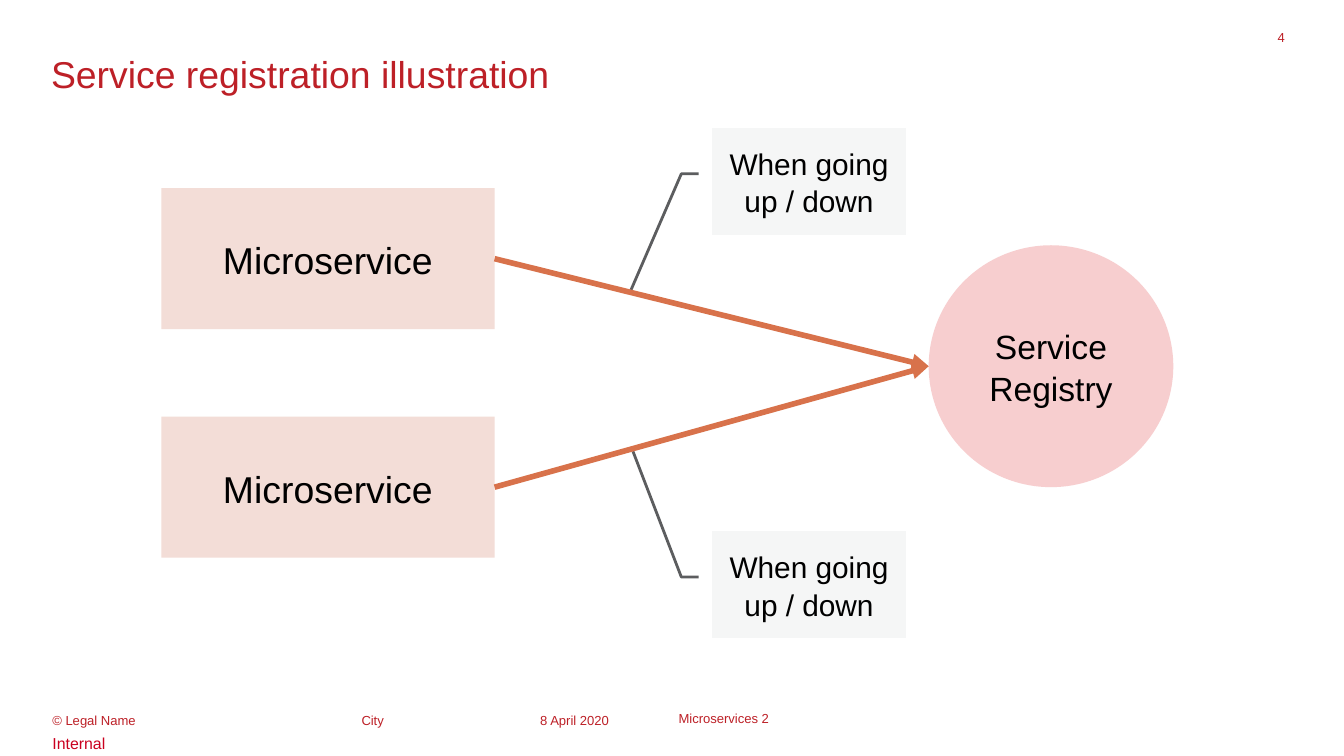
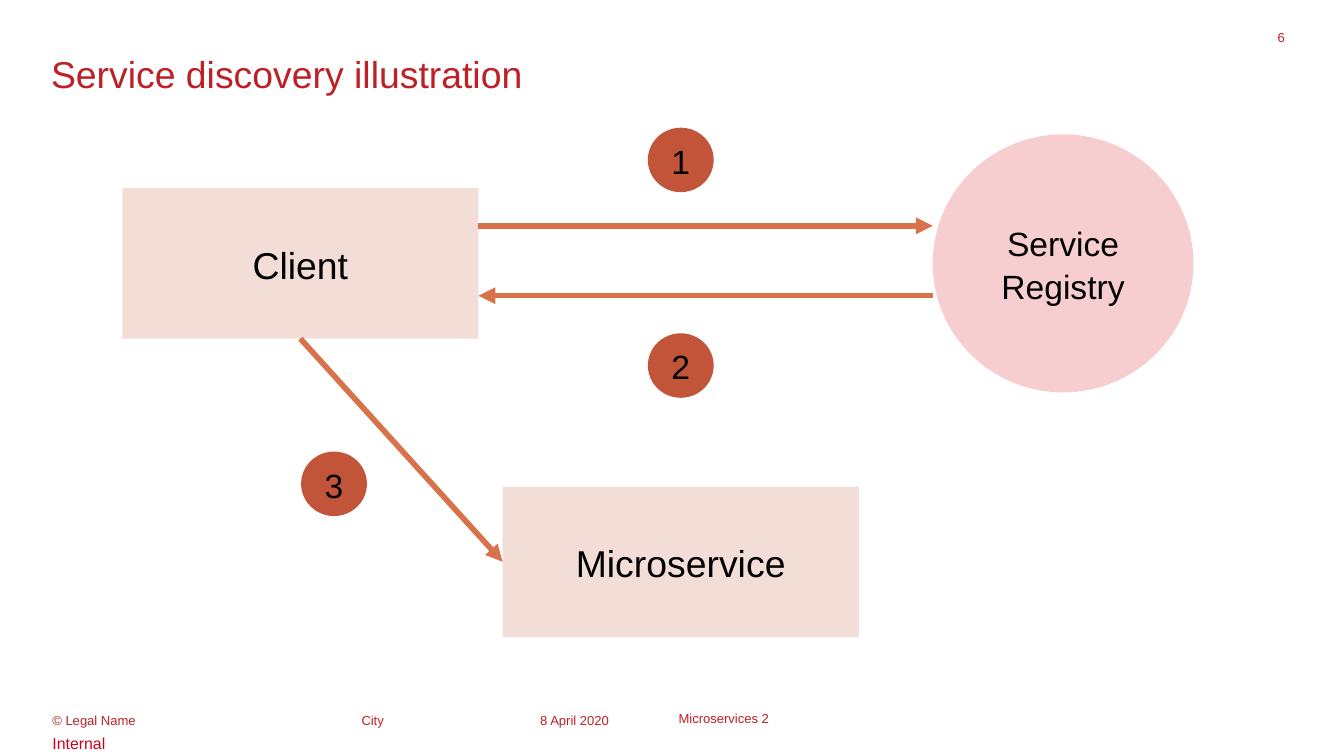
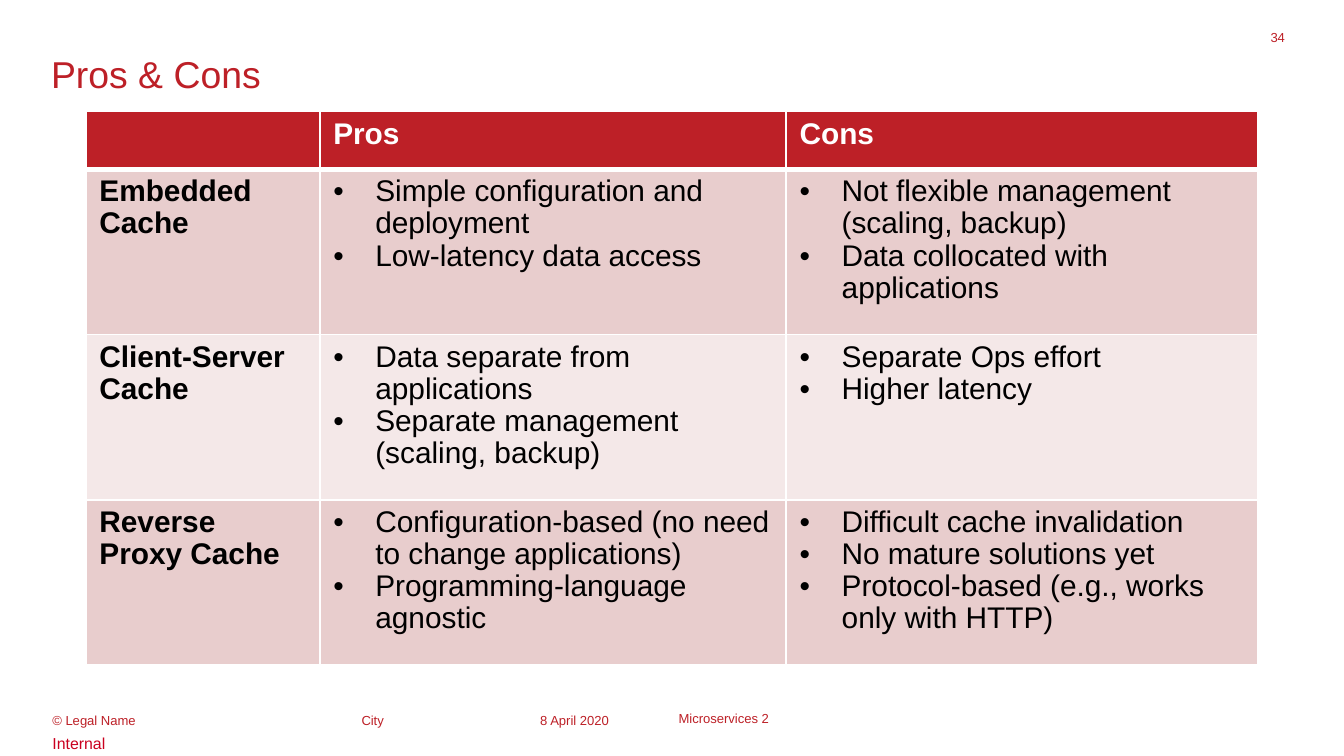
"""Build three microservice slides: registration, discovery, and cache pros and cons."""
import dataclasses
import typing

import lxml.etree
import pptx
import pptx.dml.color
import pptx.enum.shapes
import pptx.enum.text
import pptx.oxml.ns
import pptx.util

ALIGN = pptx.enum.text.PP_ALIGN
ANCHOR = pptx.enum.text.MSO_ANCHOR
SHAPE = pptx.enum.shapes.MSO_SHAPE
TOP, LEFT, BOTTOM, RIGHT = range(4)
GRID_COLUMNS = 100
PAGE_WIDTH = pptx.util.Inches(10)
PAGE_HEIGHT = PAGE_WIDTH * 9 // 16


@dataclasses.dataclass(frozen=True)
class Theme:
    font: str = "Arial"
    red: str = "BD2027"
    marking: str = "CA001F"
    black: str = "000000"
    white: str = "FFFFFF"
    service: str = "F3DDD7"
    registry: str = "F7CECF"
    step: str = "C25439"
    arrow: str = "D8724B"
    note: str = "F5F6F6"
    leader: str = "5C5D5F"
    bands: tuple = ("E8CDCD", "F4E8E8")
    title_size: float = 20
    node_size: float = 18
    body_size: float = 16
    marking_size: float = 8.5
    footer_size: float = 7
    arrow_width: float = 3
    leader_width: float = 1.5
    shape_spacing: float = 1.05
    table_spacing: float = 0.97


THEME = Theme()


class Area(typing.NamedTuple):
    left: float
    top: float
    width: float
    height: float


class Spot(typing.NamedTuple):
    column: float
    row: float


class Joint(typing.NamedTuple):
    node: str
    side: int


@dataclasses.dataclass(frozen=True)
class Label:
    text: str
    area: Area
    size: float = THEME.footer_size
    color: str = THEME.red
    align: ALIGN = ALIGN.LEFT
    anchor: ANCHOR = ANCHOR.TOP
    insets: tuple = (0, 0)


@dataclasses.dataclass(frozen=True)
class Node:
    name: str
    text: str
    area: Area
    fill: str
    size: float
    shape: SHAPE = SHAPE.FLOWCHART_CONNECTOR
    leader: tuple = ()


@dataclasses.dataclass(frozen=True)
class Arrow:
    begin: Spot | Joint
    end: Spot | Joint


@dataclasses.dataclass(frozen=True)
class Diagram:
    title: str
    number: int
    nodes: list
    arrows: list


def cells(count: float) -> pptx.util.Emu:
    return pptx.util.Emu(round(count * PAGE_WIDTH / GRID_COLUMNS))


def rgb(color: str) -> pptx.dml.color.RGBColor:
    return pptx.dml.color.RGBColor.from_string(color)


def add_xml(parent, tag: str, **attributes: str):
    return lxml.etree.SubElement(parent, pptx.oxml.ns.qn(tag), attributes)


def write(para, text: str, size: float, color: str, bold: bool = False) -> None:
    span = para.add_run()
    span.text = text
    span.font.name = THEME.font
    span.font.size = pptx.util.Pt(size)
    span.font.bold = bold
    span.font.color.rgb = rgb(color)


def draw_label(page, label: Label) -> None:
    box = page.shapes.add_textbox(*map(cells, label.area))
    frame = box.text_frame
    frame.word_wrap = True
    frame.vertical_anchor = label.anchor
    side, edge = map(cells, label.insets)
    frame.margin_left = frame.margin_right = side
    frame.margin_top = frame.margin_bottom = edge
    para = frame.paragraphs[0]
    para.alignment = label.align
    write(para, label.text, label.size, label.color)


def draw_node(page, node: Node):
    shape = page.shapes.add_shape(node.shape, *map(cells, node.area))
    shape.shadow.inherit = False
    shape.fill.solid()
    shape.fill.fore_color.rgb = rgb(node.fill)
    if node.leader:
        shape.line.color.rgb = rgb(THEME.leader)
        shape.line.width = pptx.util.Pt(THEME.leader_width)
        for index, value in enumerate(node.leader):
            shape.adjustments[index] = value
    else:
        shape.line.fill.background()
    frame = shape.text_frame
    frame.word_wrap = True
    frame.vertical_anchor = ANCHOR.MIDDLE
    para = frame.paragraphs[0]
    para.alignment = ALIGN.CENTER
    para.line_spacing = THEME.shape_spacing
    write(para, node.text, node.size, THEME.black)
    return shape


def draw_arrow(page, arrow: Arrow, shapes: dict) -> None:
    ends = (arrow.begin, arrow.end)
    points = [end if isinstance(end, Spot) else Spot(0, 0) for end in ends]
    link = page.shapes.add_connector(
        pptx.enum.shapes.MSO_CONNECTOR.STRAIGHT,
        *(cells(value) for point in points for value in point),
    )
    for end, connect in zip(ends, (link.begin_connect, link.end_connect)):
        if isinstance(end, Joint):
            connect(shapes[end.node], end.side)
    link.line.color.rgb = rgb(THEME.arrow)
    link.line.width = pptx.util.Pt(THEME.arrow_width)
    properties = link.element.spPr
    add_xml(properties.find(pptx.oxml.ns.qn("a:ln")), "a:tailEnd", type="triangle")
    add_xml(properties, "a:effectLst")


def add_page(deck, title: str, number: int):
    page = deck.slides.add_slide(deck.slide_layouts[6])
    for label in (
        Label("© Legal Name", Area(3.9, 53, 21.6, 0.9)),
        Label("City", Area(26.9, 53, 12.3, 0.9)),
        Label("Internal", Area(0, 54.1, 100, 2.4), THEME.marking_size,
              THEME.marking, insets=(3.9, 0.5)),
        Label(str(number), Area(93.4, 2.2, 2.2, 1.5), align=ALIGN.RIGHT),
        Label("8 April 2020", Area(40.2, 53, 8.7, 0.9)),
        Label("Microservices 2", Area(50.5, 53, 31.7, 0.9), anchor=ANCHOR.MIDDLE),
        Label(title, Area(3.8, 3.8, 91.7, 5.1), THEME.title_size),
    ):
        draw_label(page, label)
    return page


def add_diagram(deck, diagram: Diagram) -> None:
    page = add_page(deck, diagram.title, diagram.number)
    shapes = {node.name: draw_node(page, node) for node in diagram.nodes}
    for arrow in diagram.arrows:
        draw_arrow(page, arrow, shapes)


def service(name: str, text: str, area: Area) -> Node:
    return Node(name, text, area, THEME.service, THEME.title_size, SHAPE.RECTANGLE)


def registry(area: Area) -> Node:
    return Node("registry", "Service Registry", area, THEME.registry, THEME.node_size)


def step(number: int, left: float, top: float) -> Node:
    area = Area(left, top, 4.9, 4.8)
    return Node(f"step {number}", str(number), area, THEME.step, THEME.node_size)


def note(name: str, top: float, tip: tuple) -> Node:
    return Node(name, "When going up / down", Area(53, top, 14.4, 8), THEME.note,
                THEME.body_size, SHAPE.LINE_CALLOUT_2_NO_BORDER,
                (0.43, -0.07, 0.43, -0.16, *tip))


def style_cell(cell, fill: str, header: bool) -> None:
    properties = cell._tc.get_or_add_tcPr()
    for side in "LRTB":
        points = 3 if header and side == "B" else 1
        line = add_xml(properties, f"a:ln{side}", w=str(pptx.util.Pt(points)))
        add_xml(add_xml(line, "a:solidFill"), "a:srgbClr", val=THEME.white)
    cell.fill.solid()
    cell.fill.fore_color.rgb = rgb(fill)


def add_bullet(para) -> None:
    properties = para._p.get_or_add_pPr()
    indent = cells(3.13)
    properties.set("marL", str(indent))
    properties.set("indent", str(-indent))
    add_xml(properties, "a:buFont", typeface=THEME.font)
    add_xml(properties, "a:buChar", char="•")


def fill_cell(cell, lines: tuple, color: str, bulleted: bool, bold: bool) -> None:
    frame = cell.text_frame
    for index, text in enumerate(lines):
        para = frame.add_paragraph() if index else frame.paragraphs[0]
        para.line_spacing = THEME.table_spacing
        if bulleted:
            add_bullet(para)
        write(para, text, THEME.body_size, color, bold)


def add_comparison(page, rows: list, widths: tuple, heights: tuple) -> None:
    area = Area(6.4, 8.3, sum(widths), sum(heights))
    table = page.shapes.add_table(len(rows), len(widths), *map(cells, area)).table
    table.horz_banding = False
    for column, width in zip(table.columns, widths):
        column.width = cells(width)
    for row_index, (row, height, content) in enumerate(zip(table.rows, heights, rows)):
        row.height = cells(height)
        header = row_index == 0
        fill = THEME.red if header else THEME.bands[(row_index - 1) % 2]
        color = THEME.white if header else THEME.black
        for column_index, lines in enumerate(content):
            cell = table.cell(row_index, column_index)
            style_cell(cell, fill, header)
            bulleted = not header and column_index > 0
            fill_cell(cell, lines, color, bulleted, not bulleted)


REGISTRATION = Diagram(
    "Service registration illustration",
    4,
    [
        service("upper", "Microservice", Area(12, 14, 24.8, 10.5)),
        service("lower", "Microservice", Area(12, 31, 24.8, 10.5)),
        registry(Area(69.1, 18.25, 18.2, 18)),
        note("upper note", 9.5, (1.51, -0.42)),
        note("lower note", 39.5, (-0.74, -0.41)),
    ],
    [Arrow(Joint(name, RIGHT), Spot(69.1, 27.25)) for name in ("upper", "lower")],
)

DISCOVERY = Diagram(
    "Service discovery illustration",
    6,
    [
        service("client", "Client", Area(9.1, 14, 26.5, 11.2)),
        service("service", "Microservice", Area(37.4, 36.2, 26.5, 11.2)),
        registry(Area(69.4, 10, 19.4, 19.2)),
        step(1, 48.2, 9.5),
        step(2, 48.2, 24.8),
        step(3, 22.4, 33.6),
    ],
    [
        Arrow(Spot(35.6, 16.8), Spot(69.4, 16.8)),
        Arrow(Joint("client", BOTTOM), Joint("service", LEFT)),
        Arrow(Spot(69.4, 22), Spot(35.6, 22)),
    ],
)

CACHES = [
    ((), ("Pros",), ("Cons",)),
    (
        ("Embedded Cache",),
        ("Simple configuration and deployment", "Low-latency data access"),
        ("Not flexible management (scaling, backup)",
         "Data collocated with applications"),
    ),
    (
        ("Client-Server Cache",),
        ("Data separate from applications", "Separate management (scaling, backup)"),
        ("Separate Ops effort", "Higher latency"),
    ),
    (
        ("Reverse Proxy Cache",),
        ("Configuration-based (no need to change applications)",
         "Programming-language agnostic"),
        ("Difficult cache invalidation", "No mature solutions yet",
         "Protocol-based (e.g., works only with HTTP)"),
    ),
]


def main() -> None:
    deck = pptx.Presentation()
    deck.slide_width = PAGE_WIDTH
    deck.slide_height = PAGE_HEIGHT
    for diagram in (REGISTRATION, DISCOVERY):
        add_diagram(deck, diagram)
    page = add_page(deck, "Pros & Cons", 34)
    add_comparison(page, CACHES, (17.4, 34.7, 35.1), (4.3, 12.3, 12.3, 12.3))
    deck.save("out.pptx")


if __name__ == "__main__":
    main()
